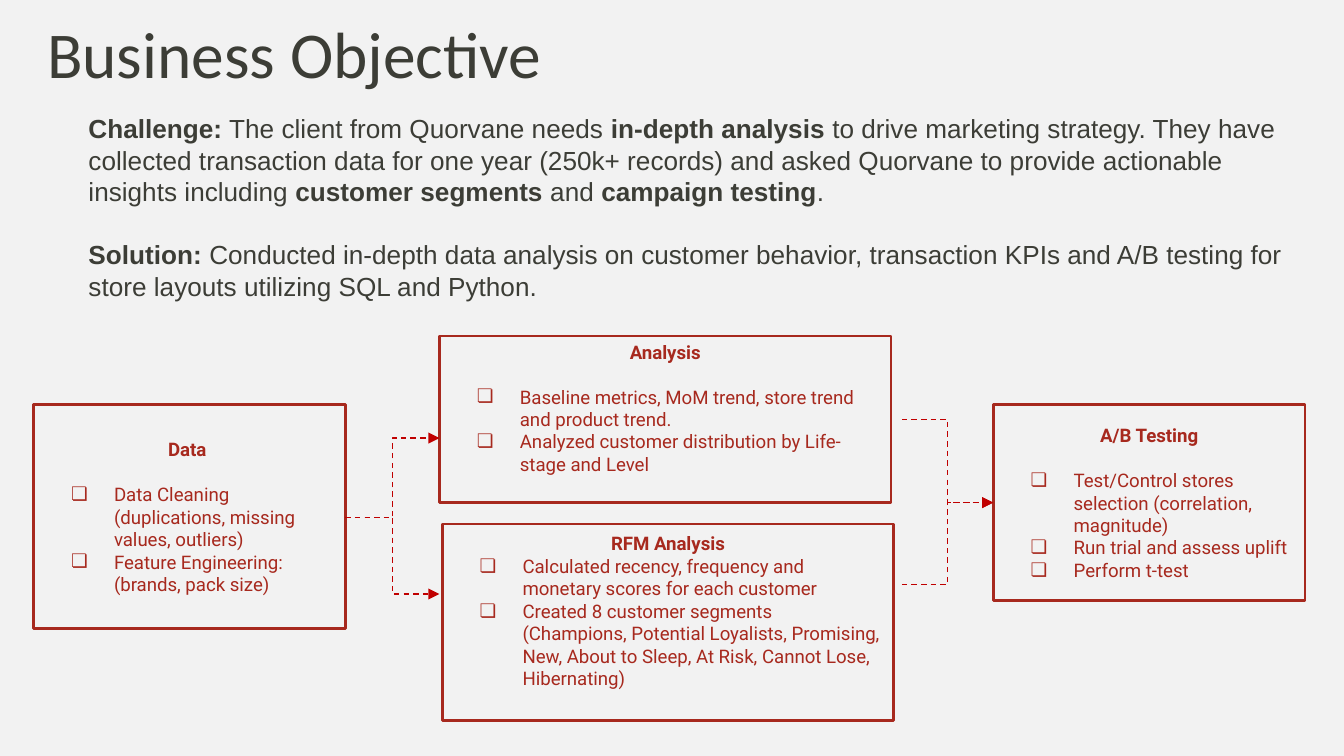
from lxml import etree
from pptx import Presentation
from pptx.dml.color import RGBColor
from pptx.enum.dml import MSO_LINE
from pptx.enum.shapes import MSO_CONNECTOR, MSO_SHAPE
from pptx.enum.text import MSO_ANCHOR, PP_ALIGN
from pptx.oxml.ns import qn
from pptx.util import Inches, Pt

TOP, MIDDLE = MSO_ANCHOR.TOP, MSO_ANCHOR.MIDDLE
LEFT, CENTER = PP_ALIGN.LEFT, PP_ALIGN.CENTER
ELBOW, RECTANGLE, DASH = MSO_CONNECTOR.ELBOW, MSO_SHAPE.RECTANGLE, MSO_LINE.DASH

PAPER = RGBColor(0xF2, 0xF2, 0xF2)
INK = RGBColor(0x3C, 0x3D, 0x36)
BRICK = RGBColor(0xA7, 0x29, 0x1E)
RED = RGBColor(0xC0, 0x00, 0x00)

TITLE = "Business Objective"

# Each paragraph is a list of (text, bold) spans.
SUMMARY = [
    [
        ("Challenge:", True),
        (" The client from Quorvane needs ", False),
        ("in-depth analysis ", True),
        ("to drive marketing strategy. They have collected transaction data for one year "
         "(250k+ records) and asked Quorvane to provide actionable insights including ", False),
        ("customer segments ", True),
        ("and ", False),
        ("campaign testing", True),
        (".", False),
    ],
    [
        ("Solution: ", True),
        ("Conducted in-depth data analysis on customer behavior, transaction KPIs and "
         "A/B testing for store layouts utilizing SQL and Python.", False),
    ],
]

# at: left, top, width, height; gap: points below the heading;
# insets: top and bottom margins, in inches
EVEN, RAISED = (0.1, 0.1), (0.02, 0.19)
STAGES = [
    dict(heading="Data ", at=(0.25, 3.01, 2.32, 1.67), gap=12, insets=EVEN, items=[
        "Data Cleaning (duplications, missing values, outliers)",
        "Feature Engineering: (brands, pack size)",
    ]),
    dict(heading="Analysis", at=(3.27, 2.5, 3.36, 1.24), gap=12, insets=RAISED, items=[
        "Baseline metrics, MoM trend, store trend and product trend.",
        "Analyzed customer distribution by Life-stage and Level",
    ]),
    dict(heading="A/B Testing", at=(7.39, 3.01, 2.32, 1.46), gap=12, insets=EVEN, items=[
        "Test/Control stores selection (correlation, magnitude)",
        "Run trial and assess uplift",
        "Perform t-test",
    ]),
    dict(heading="RFM Analysis", at=(3.29, 3.9, 3.36, 1.46), gap=0, insets=RAISED, items=[
        "Calculated recency, frequency and monetary scores for each customer",
        "Created 8 customer segments (Champions, Potential Loyalists, Promising, New, "
        "About to Sleep, At Risk, Cannot Lose, Hibernating)",
    ]),
]

DATA_EXIT, TESTING_ENTRY = (2.57, 3.85), (7.39, 3.74)
ARROWS = [
    (DATA_EXIT, (3.27, 3.26)),
    (DATA_EXIT, (3.27, 4.42)),
    ((6.71, 3.12), TESTING_ENTRY),
    ((6.71, 4.35), TESTING_ENTRY),
]


def set_frame(frame, anchor, top=0.1, bottom=0.1):
    frame.word_wrap = True
    frame.vertical_anchor = anchor
    frame.margin_left = frame.margin_right = Inches(0.1)
    frame.margin_top, frame.margin_bottom = Inches(top), Inches(bottom)


def write(para, spans, font, size, color, align=LEFT, spacing=1.0, after=0,
          indent=0, hanging=0, bullet=None):
    para.alignment = align
    para.line_spacing = spacing
    para.space_before, para.space_after = Pt(0), Pt(after)
    properties = para._p.get_or_add_pPr()
    properties.set("marL", str(Inches(indent)))
    properties.set("indent", str(-Inches(hanging)))
    if bullet:
        tint = etree.SubElement(properties, qn("a:buClr"))
        etree.SubElement(tint, qn("a:srgbClr")).set("val", str(color))
        etree.SubElement(properties, qn("a:buSzPts")).set("val", str(size * 100))
        etree.SubElement(properties, qn("a:buFont")).set("typeface", font)
        etree.SubElement(properties, qn("a:buChar")).set("char", bullet)
    else:
        etree.SubElement(properties, qn("a:buNone"))
    for text, bold in spans:
        span = para.add_run()
        span.text = text
        span.font.name, span.font.size, span.font.bold = font, Pt(size), bold
        span.font.color.rgb = color


def add_stage(page, heading, at, gap, insets, items):
    box = page.shapes.add_shape(RECTANGLE, *map(Inches, at))
    box.shadow.inherit = False
    box.fill.background()
    box.line.color.rgb = BRICK
    box.line.width = Pt(1.5)
    frame = box.text_frame
    set_frame(frame, MIDDLE, *insets)
    write(frame.paragraphs[0], [(heading, True)], "Roboto", 10, BRICK,
          align=CENTER, after=gap)
    for item in items:
        write(frame.add_paragraph(), [(item, False)], "Roboto", 10, BRICK,
              indent=0.5, hanging=0.32, bullet="❏")


def add_arrow(page, start, end):
    arrow = page.shapes.add_connector(ELBOW, *map(Inches, start + end))
    arrow.line.color.rgb = RED
    arrow.line.width = Pt(0.75)
    arrow.line.dash_style = DASH
    etree.SubElement(arrow.line._get_or_add_ln(), qn("a:tailEnd")).set("type", "triangle")
    etree.SubElement(arrow._element.spPr, qn("a:effectLst"))


def main():
    deck = Presentation()
    # Widescreen, 16:9
    deck.slide_width, deck.slide_height = Inches(10), Inches(10 * 9 / 16)
    page = deck.slides.add_slide(deck.slide_layouts[5])
    page.background.fill.solid()
    page.background.fill.fore_color.rgb = PAPER

    title = page.shapes.title
    title.left, title.top, title.width, title.height = map(Inches, (0.25, 0.18, 5.71, 0.74))
    set_frame(title.text_frame, TOP)
    write(title.text_frame.paragraphs[0], [(TITLE, False)], "Calibri", 35, INK, spacing=0.65)

    summary = page.shapes.add_textbox(*map(Inches, (0.06, 0.74, 9.65, 2.03))).text_frame
    set_frame(summary, TOP)
    for index, spans in enumerate(SUMMARY):
        para = summary.add_paragraph() if index else summary.paragraphs[0]
        last = index == len(SUMMARY) - 1
        write(para, spans, "Arial", 14, INK, indent=0.5, after=0 if last else 17)

    for stage in STAGES:
        add_stage(page, **stage)
    for start, end in ARROWS:
        add_arrow(page, start, end)

    deck.save("out.pptx")


if __name__ == "__main__":
    main()
